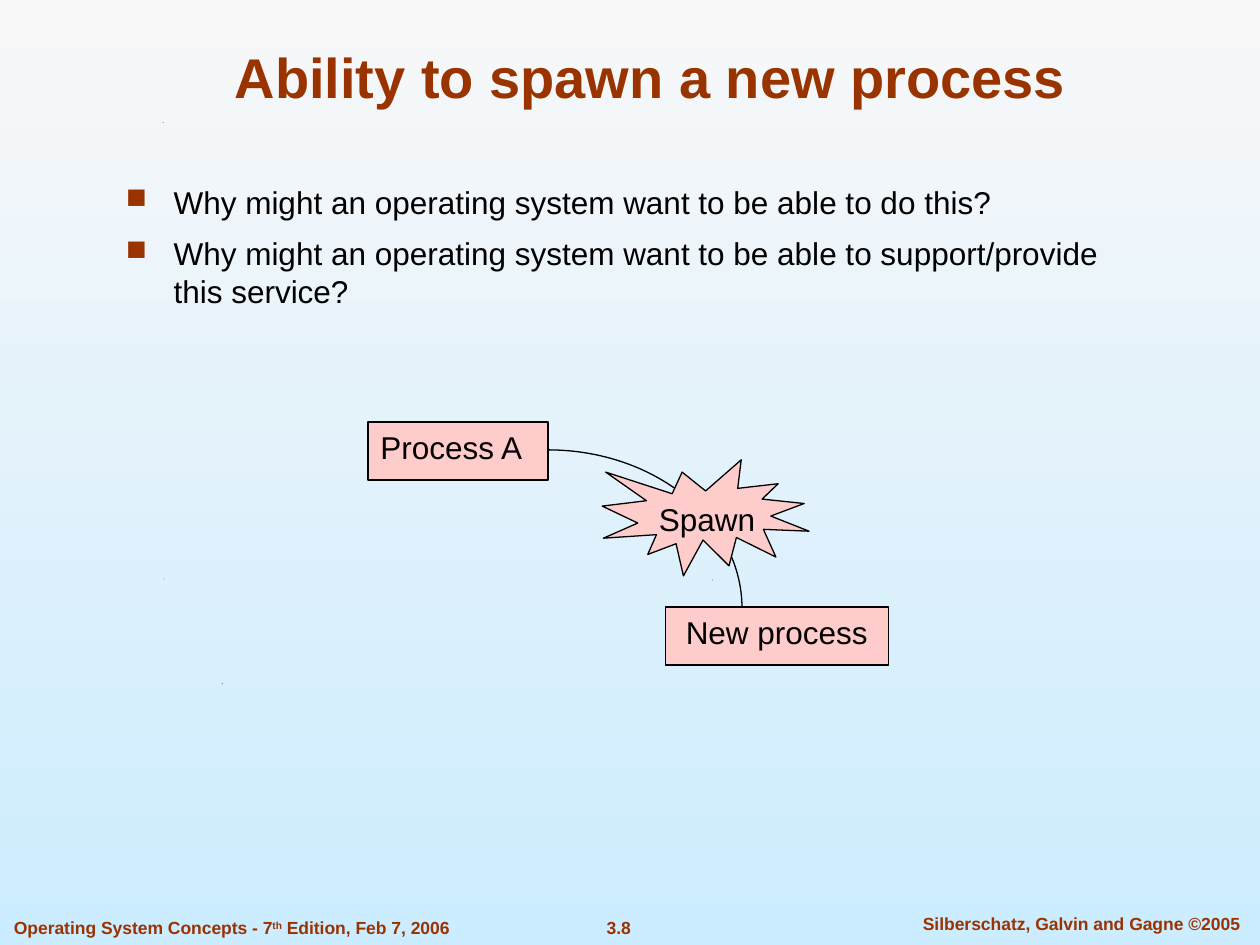
from dataclasses import dataclass

from lxml import etree
from pptx import Presentation
from pptx.dml.color import RGBColor
from pptx.enum.shapes import MSO_SHAPE
from pptx.enum.text import MSO_ANCHOR, PP_ALIGN
from pptx.oxml.ns import qn
from pptx.util import Cm, Pt

LEFT, CENTER = PP_ALIGN.LEFT, PP_ALIGN.CENTER
TOP, BOTTOM = MSO_ANCHOR.TOP, MSO_ANCHOR.BOTTOM
RECTANGLE, BURST, ARC = MSO_SHAPE.RECTANGLE, MSO_SHAPE.EXPLOSION1, MSO_SHAPE.ARC


@dataclass(frozen=True)
class Theme:
    font: str = "Arial"
    accent: RGBColor = RGBColor(0x99, 0x33, 0x00)
    ink: RGBColor = RGBColor(0, 0, 0)
    node: RGBColor = RGBColor(0xFF, 0xCC, 0xCC)
    sky_top: RGBColor = RGBColor(0xF8, 0xF8, 0xF8)
    sky_bottom: RGBColor = RGBColor(0xCC, 0xEC, 0xFF)
    title: Pt = Pt(32)
    body: Pt = Pt(18)
    footer: Pt = Pt(10)
    line: Pt = Pt(0.75)


theme = Theme()


def style_paragraph(paragraph, size, color, bold=False, align=LEFT):
    paragraph.alignment = align
    paragraph.font.name = theme.font
    paragraph.font.size = size
    paragraph.font.bold = bold
    paragraph.font.color.rgb = color


def add_outlined(kind, left, top, width, height):
    shape = slide.shapes.add_shape(kind, Cm(left), Cm(top), Cm(width), Cm(height))
    shape.shadow.inherit = False
    shape.line.color.rgb = theme.ink
    shape.line.width = theme.line
    return shape


prs = Presentation()
prs.slide_width, prs.slide_height = Cm(25.4), Cm(19.05)
slide = prs.slides.add_slide(prs.slide_layouts[5])

sky = slide.background.fill
sky.gradient()
sky.gradient_angle = 270
for stop, color, position in zip(sky.gradient_stops, (theme.sky_top, theme.sky_bottom), (0, 1)):
    stop.color.rgb = color
    stop.position = position

for x, y in ((4.47, 13.79), (3.3, 11.68), (14.35, 11.7), (3.28, 2.48)):
    outline = slide.shapes.build_freeform(Cm(x), Cm(y))
    outline.add_line_segments([(Cm(x + 0.02), Cm(y - 0.02)), (Cm(x + 0.01), Cm(y))])
    speck = outline.convert_to_shape()
    speck.shadow.inherit = False
    speck.fill.solid()
    speck.fill.fore_color.rgb = theme.ink
    speck.line.fill.background()

footers = (
    (0.03, 18.36, 9.3, False, LEFT, ("Operating System Concepts - 7", "th", " Edition, Feb 7, 2006")),
    (11.23, 18.36, 2.49, False, CENTER, ("3.8",)),
    (18.03, 18.29, 7.54, True, CENTER, ("Silberschatz, Galvin and Gagne ©2005",)),
)
for left, top, width, wrap, align, parts in footers:
    footer = slide.shapes.add_textbox(Cm(left), Cm(top), Cm(width), Cm(0.69)).text_frame
    footer.word_wrap = wrap
    paragraph = footer.paragraphs[0]
    style_paragraph(paragraph, theme.footer, theme.accent, True, align)
    for part in parts:
        run = paragraph.add_run()
        run.text = part
        if part == "th":
            run.font._element.set("baseline", "30000")

title = slide.shapes.title
title.left, title.top, title.width, title.height = Cm(1.9), Cm(0.64), Cm(22.43), Cm(1.7)
title.text_frame.text = "Ability to spawn a new process"
title.text_frame.vertical_anchor = BOTTOM
style_paragraph(title.text_frame.paragraphs[0], theme.title, theme.accent, True, CENTER)

questions = slide.shapes.add_textbox(Cm(2.29), Cm(3.56), Cm(20.42), Cm(12.45)).text_frame
questions.word_wrap = True
questions.text = (
    "Why might an operating system want to be able to do this?\n"
    "Why might an operating system want to be able to support/provide this service?"
)
for question in questions.paragraphs:
    style_paragraph(question, theme.body, theme.ink)
    question.space_before = Pt(7.9)
    properties = question._p.get_or_add_pPr()
    properties.set("marL", str(Cm(0.96)))
    properties.set("indent", str(-Cm(0.96)))
    bullet_color = etree.Element(qn("a:buClr"))
    etree.SubElement(bullet_color, qn("a:srgbClr"), val=str(theme.accent))
    bullet_size = etree.Element(qn("a:buSzPct"), val="90000")
    bullet = etree.Element(qn("a:buChar"), char="■")
    run_defaults = properties.find(qn("a:defRPr"))
    for item in (bullet_color, bullet_size, bullet):
        run_defaults.addprevious(item)

spawn_path = add_outlined(ARC, 7.14, 9.07, 7.82, 6.38)
spawn_path.fill.background()

nodes = (
    ("Process A", RECTANGLE, 7.42, 8.51, 3.63, 1.17, LEFT),
    ("Spawn", BURST, 12.14, 9.27, 4.17, 2.34, LEFT),
    ("New process", RECTANGLE, 13.41, 12.24, 4.5, 1.17, CENTER),
)
for label, kind, left, top, width, height, align in nodes:
    node = add_outlined(kind, left, top, width, height)
    node.fill.solid()
    node.fill.fore_color.rgb = theme.node
    node.text_frame.text = label
    node.text_frame.word_wrap = False
    node.text_frame.vertical_anchor = TOP
    style_paragraph(node.text_frame.paragraphs[0], theme.body, theme.ink, align=align)

prs.save("out.pptx")
